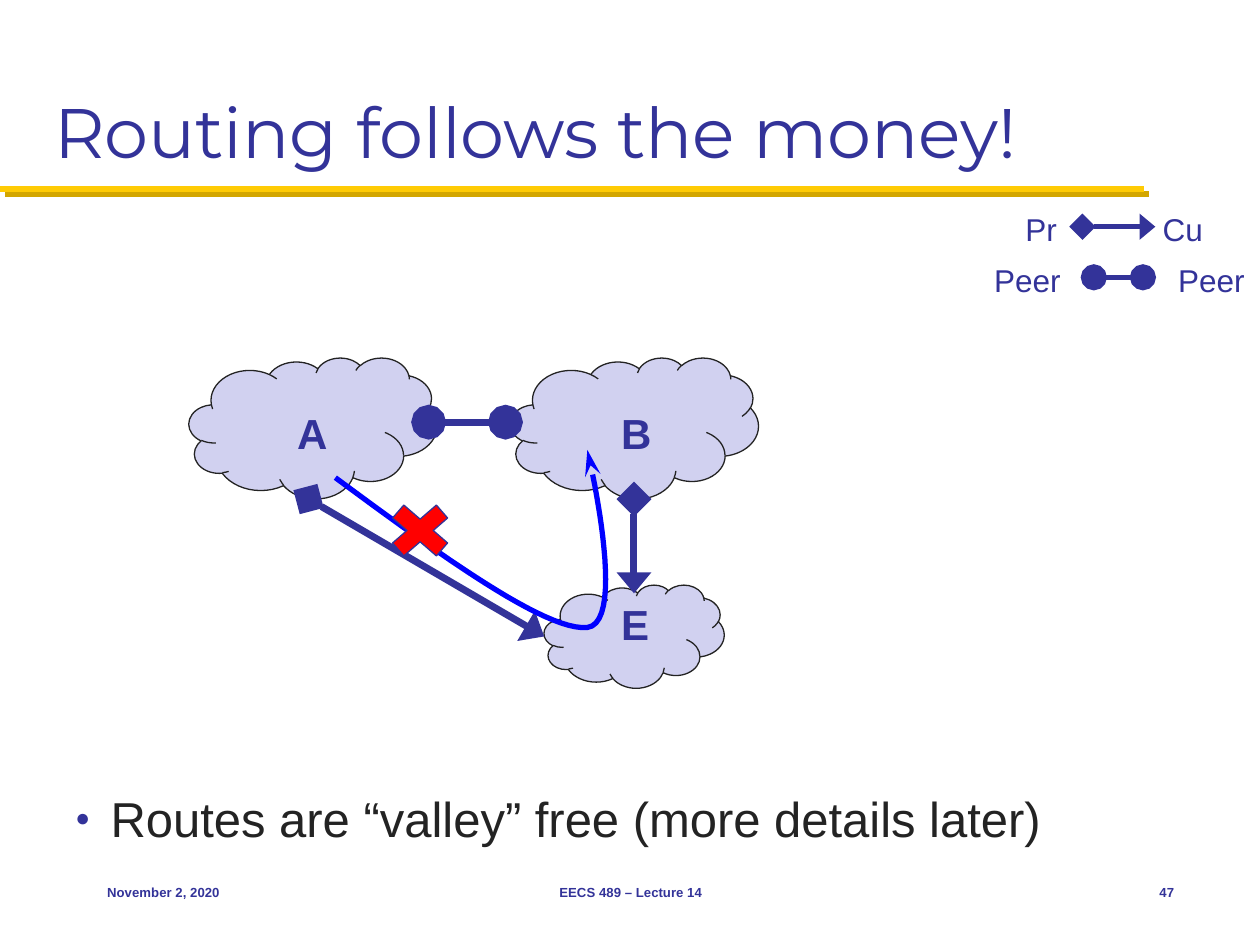
from lxml.etree import SubElement
from pptx import Presentation
from pptx.dml.color import RGBColor
from pptx.enum.shapes import MSO_CONNECTOR, MSO_SHAPE
from pptx.enum.text import MSO_ANCHOR, PP_ALIGN
from pptx.oxml.ns import qn
from pptx.util import Cm, Pt

COLORS = {
    "navy": "333399",
    "ink": "232323",
    "cloud": "D1D1F0",
    "gold": "FFCB05",
    "gold_shadow": "D3A600",
    "route": "0000FF",
    "cross": "FF0000",
}
# Width and length of each kind of arrowhead
ARROW_SIZES = {
    "oval": ("lg", "lg"),
    "diamond": ("lg", "lg"),
    "triangle": ("lg", "med"),
    "stealth": ("med", "lg"),
}


def color(name):
    return RGBColor.from_string(COLORS[name])


def bezier(start, first, second, end, steps=24):
    """Return the points of a cubic curve, without its start."""
    points = []
    for step in range(1, steps + 1):
        t = step / steps
        weights = ((1 - t) ** 3, 3 * t * (1 - t) ** 2, 3 * t**2 * (1 - t), t**3)
        points.append(tuple(
            sum(w * p[axis] for w, p in zip(weights, (start, first, second, end)))
            for axis in (0, 1)))
    return points


class SlideWriter:
    def __init__(self, page, font="Arial"):
        self.page = page
        self.font = font

    def text(self, words, left, top, width, height, size, ink="navy", bold=False,
             font=None, align=PP_ALIGN.LEFT, anchor=MSO_ANCHOR.TOP, bullet=False):
        box = self.page.shapes.add_textbox(Cm(left), Cm(top), Cm(width), Cm(height))
        frame = box.text_frame
        frame.word_wrap = True
        frame.vertical_anchor = anchor
        para = frame.paragraphs[0]
        para.text = words
        para.alignment = align
        if bullet:
            self.add_bullet(para)
        para.font.name = font or self.font
        para.font.size = Pt(size)
        para.font.bold = bold
        para.font.color.rgb = color(ink)

    def add_bullet(self, para):
        props = para._p.get_or_add_pPr()
        props.set("marL", str(Cm(0.71)))
        props.set("indent", str(-Cm(0.71)))
        SubElement(SubElement(props, qn("a:buClr")), qn("a:srgbClr"), val=COLORS["navy"])
        SubElement(props, qn("a:buSzPct"), val="50000")
        SubElement(props, qn("a:buFont"), typeface=self.font)
        SubElement(props, qn("a:buChar"), char="●")

    def shape(self, kind, left, top, width, height, fill, outline):
        shape = self.page.shapes.add_shape(kind, Cm(left), Cm(top), Cm(width), Cm(height))
        shape.shadow.inherit = False
        shape.fill.solid()
        shape.fill.fore_color.rgb = color(fill)
        shape.line.color.rgb = color(outline)
        shape.line.width = Pt(0.75)

    def line(self, start, end, width, ink="navy", head=None, tail=None, shadow=None):
        line = self.page.shapes.add_connector(
            MSO_CONNECTOR.STRAIGHT, *(Cm(value) for value in start + end))
        self.style_line(line, ink, width, head, tail)
        effects = SubElement(line._element.spPr, qn("a:effectLst"))
        if shadow:
            cast = SubElement(effects, qn("a:outerShdw"), dist=str(Pt(4.2)),
                              dir="2700000", algn="ctr", rotWithShape="0")
            SubElement(cast, qn("a:srgbClr"), val=COLORS[shadow])

    def curve(self, start, points, width, ink, tail):
        builder = self.page.shapes.build_freeform(Cm(start[0]), Cm(start[1]))
        builder.add_line_segments([(Cm(x), Cm(y)) for x, y in points], close=False)
        curve = builder.convert_to_shape()
        curve.shadow.inherit = False
        curve.fill.background()
        self.style_line(curve, ink, width, tail=tail)

    def style_line(self, shape, ink, width, head=None, tail=None):
        shape.line.color.rgb = color(ink)
        shape.line.width = Pt(width)
        for tag, kind in (("a:headEnd", head), ("a:tailEnd", tail)):
            if kind:
                wide, long = ARROW_SIZES[kind]
                SubElement(shape.line._get_or_add_ln(), qn(tag), type=kind, w=wide, len=long)


def main():
    deck = Presentation()
    deck.slide_width, deck.slide_height = Cm(25.4), Cm(19.05)
    writer = SlideWriter(deck.slides.add_slide(deck.slide_layouts[6]))

    writer.line((0, 3.81), (23.06, 3.81), 3.5, "gold", shadow="gold_shadow")
    writer.text("Routing follows the money!", 0.84, 0.43, 23.7, 3.18, 40,
                font="Montserrat", anchor=MSO_ANCHOR.BOTTOM)

    # Networks and the links between them
    for left, top, width, height in ((10.97, 11.79, 3.63, 2.08),
                                     (10.29, 7.21, 5, 2.84),
                                     (3.81, 7.21, 5, 2.84)):
        writer.shape(MSO_SHAPE.CLOUD, left, top, width, height, "cloud", "ink")
    writer.line((8.64, 8.51), (10.19, 8.51), 4, head="oval", tail="oval")
    for start, end in (((6.22, 10.06), (10.97, 12.83)),
                       ((12.78, 10.06), (12.78, 11.96))):
        writer.line(start, end, 4, head="diamond", tail="triangle")
    for name, left, top in (("A", 5.74, 8.09), ("B", 12.27, 8.09), ("E", 12.27, 11.95)):
        writer.text(name, left, top, 1.3, 1.1, 24, bold=True)

    # Legend
    writer.line((21.82, 4.57), (23.29, 4.57), 3, head="diamond", tail="triangle")
    writer.line((22.05, 5.59), (23.04, 5.59), 3, head="oval", tail="oval")
    for label, left, top in (("Pr", 20.42, 4.11), ("Cu", 23.19, 4.11),
                             ("Peer", 19.79, 5.13), ("Peer", 23.5, 5.13)):
        writer.text(label, left, top, 1.9, 1.02, 18)

    writer.text("Routes are “valley” free (more details later)",
                1.27, 15.77, 22.86, 1.6, 28, "ink", bullet=True)

    # Forbidden route from A through E to B
    start, valley, end = (6.76, 9.63), (11.84, 12.65), (11.84, 9.07)
    route = (bezier(start, (8.86, 11.18), (11, 12.73), valley)
             + bezier(valley, (12.67, 12.55), end, end))
    writer.curve(start, route, 3, "route", "stealth")
    writer.shape(MSO_SHAPE.MATH_MULTIPLY, 7.62, 9.96, 1.7, 1.47, "cross", "navy")

    for words, left, width, align in (
            ("November 2, 2020", 1.91, 5.28, PP_ALIGN.LEFT),
            ("EECS 489 – Lecture 14", 8.69, 8.05, PP_ALIGN.CENTER),
            ("47", 22.22, 1.7, PP_ALIGN.RIGHT)):
        writer.text(words, left, 17.35, width, 1.27, 7.5, bold=True,
                    align=align, anchor=MSO_ANCHOR.MIDDLE)

    deck.save("out.pptx")


if __name__ == "__main__":
    main()
